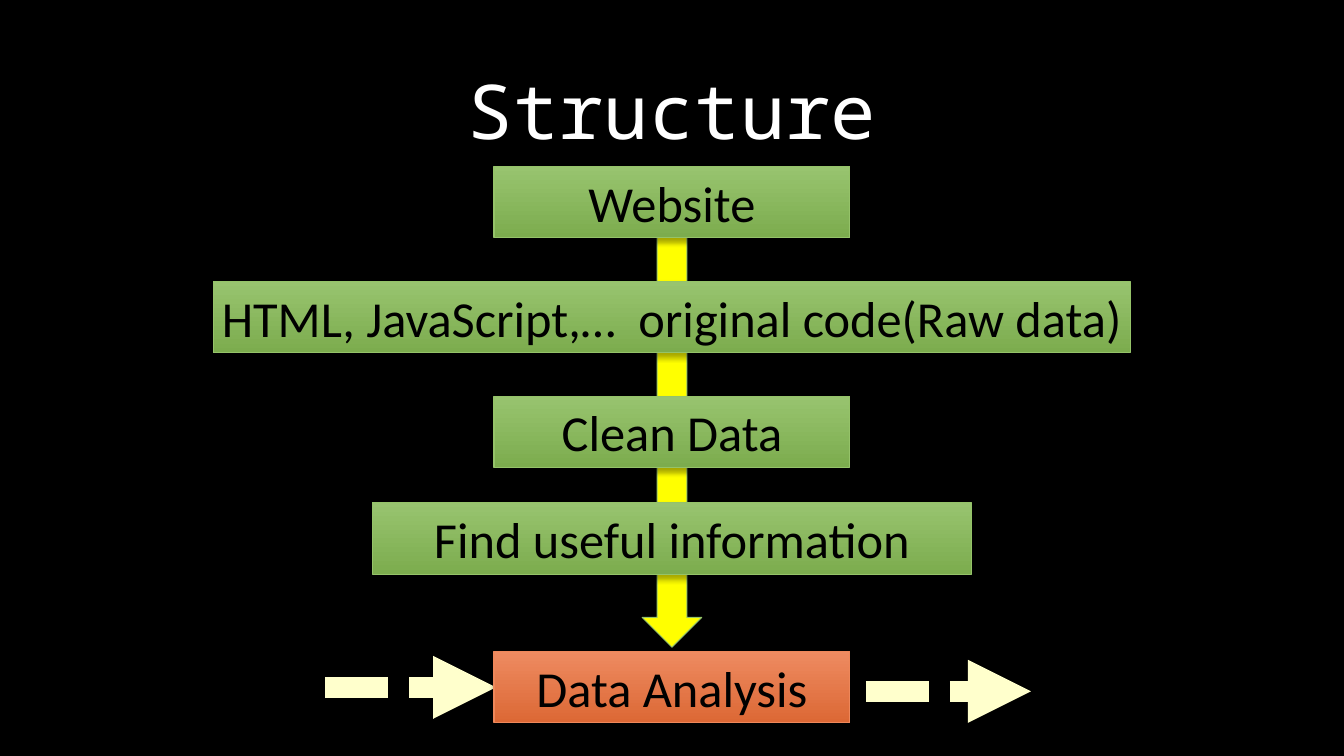
from dataclasses import dataclass

from lxml.etree import SubElement
from pptx import Presentation
from pptx.dml.color import RGBColor
from pptx.enum.dml import MSO_LINE
from pptx.enum.shapes import MSO_CONNECTOR, MSO_SHAPE
from pptx.enum.text import MSO_ANCHOR, PP_ALIGN
from pptx.oxml.ns import qn
from pptx.util import Cm, Pt


@dataclass(frozen=True)
class Theme:
    background: str = "000000"
    title: str = "FFFFFF"
    label: str = "000000"
    flow: str = "FFFF00"
    dashes: str = "FFFFCC"
    green: tuple = ("98C46F", "7CAC4E", "95C369")  # top, bottom, outline
    orange: tuple = ("EE8B61", "DC6835", "EE875A")
    title_font: str = "Noto Sans Mono"
    label_font: str = "Calibri"
    title_size: int = 54
    label_size: int = 36


THEME = Theme()
PAGE_WIDTH, PAGE_HEIGHT = 33.87, 19.05
STEP_HEIGHT = 1.8

# Label, top, width and colours of each step, in cm
STEPS = [
    ("Website", 4.19, 8.97, THEME.green),
    ("HTML, JavaScript,…  original code(Raw data)", 7.09, 23.11, THEME.green),
    ("Clean Data", 9.98, 8.97, THEME.green),
    ("Find useful information", 12.67, 15.09, THEME.green),
    ("Data Analysis", 16.41, 8.97, THEME.orange),
]


def rgb(colour):
    return RGBColor.from_string(colour)


def add_shadow(part):
    """Soft shadow straight below the part."""
    effects = SubElement(part._element.spPr, qn("a:effectLst"))
    shadow = SubElement(effects, qn("a:outerShdw"), blurRad=str(Pt(4)),
                        dist=str(Pt(3)), dir="5400000", rotWithShape="0")
    colour = SubElement(shadow, qn("a:srgbClr"), val="000000")
    SubElement(colour, qn("a:alpha"), val="35000")


def write_centred(frame, text, font_name, size, colour):
    frame.vertical_anchor = MSO_ANCHOR.MIDDLE
    paragraph = frame.paragraphs[0]
    paragraph.alignment = PP_ALIGN.CENTER
    run = paragraph.add_run()
    run.text = text
    run.font.name = font_name
    run.font.size = Pt(size)
    run.font.color.rgb = rgb(colour)


def add_dashed_arrow(slide, left, top, width):
    arrow = slide.shapes.add_connector(
        MSO_CONNECTOR.STRAIGHT, Cm(left), Cm(top), Cm(left + width), Cm(top))
    arrow.line.color.rgb = rgb(THEME.dashes)
    arrow.line.width = Pt(15)
    arrow.line.dash_style = MSO_LINE.SQUARE_DOT
    outline = arrow._element.spPr.find(qn("a:ln"))
    SubElement(outline, qn("a:tailEnd"), type="triangle")
    add_shadow(arrow)


def add_flow_arrow(slide, left, top, width, height):
    flow = slide.shapes.add_shape(
        MSO_SHAPE.DOWN_ARROW, Cm(left), Cm(top), Cm(width), Cm(height))
    flow.fill.solid()
    flow.fill.fore_color.rgb = rgb(THEME.flow)
    flow.line.color.rgb = rgb(THEME.green[2])
    flow.line.width = Pt(0.75)
    add_shadow(flow)


def add_title(slide, left, top, width, height):
    title = slide.shapes.add_textbox(Cm(left), Cm(top), Cm(width), Cm(height))
    title.text_frame.word_wrap = True
    write_centred(title.text_frame, "Structure",
                  THEME.title_font, THEME.title_size, THEME.title)


def add_step(slide, left, top, width, height, label, colours):
    step = slide.shapes.add_shape(
        MSO_SHAPE.RECTANGLE, Cm(left), Cm(top), Cm(width), Cm(height))
    step.fill.gradient()
    step.fill.gradient_angle = 270
    for stop, colour in zip(step.fill.gradient_stops, colours):
        stop.color.rgb = rgb(colour)
    step.line.color.rgb = rgb(colours[2])
    step.line.width = Pt(0.75)
    add_shadow(step)
    step.text_frame.word_wrap = False
    write_centred(step.text_frame, label,
                  THEME.label_font, THEME.label_size, THEME.label)


def build_structure_slide(slide, width):
    slide.background.fill.solid()
    slide.background.fill.fore_color.rgb = rgb(THEME.background)
    centre = width / 2

    # Arrows into and out of the analysis
    add_dashed_arrow(slide, 8.2, 17.32, 4.3)
    add_dashed_arrow(slide, 21.82, 17.42, 4.16)

    # Flow behind the steps
    add_flow_arrow(slide, centre - 0.75, 5.11, 1.5, 11.2)

    add_title(slide, centre - 14.07, 0.74, 28.14, 4.04)

    # Steps, centred on the flow
    for label, top, step_width, colours in STEPS:
        add_step(slide, centre - step_width / 2, top, step_width, STEP_HEIGHT,
                 label, colours)


def main():
    deck = Presentation()
    deck.slide_width, deck.slide_height = Cm(PAGE_WIDTH), Cm(PAGE_HEIGHT)
    build_structure_slide(deck.slides.add_slide(deck.slide_layouts[6]), PAGE_WIDTH)
    deck.save("out.pptx")


if __name__ == "__main__":
    main()
